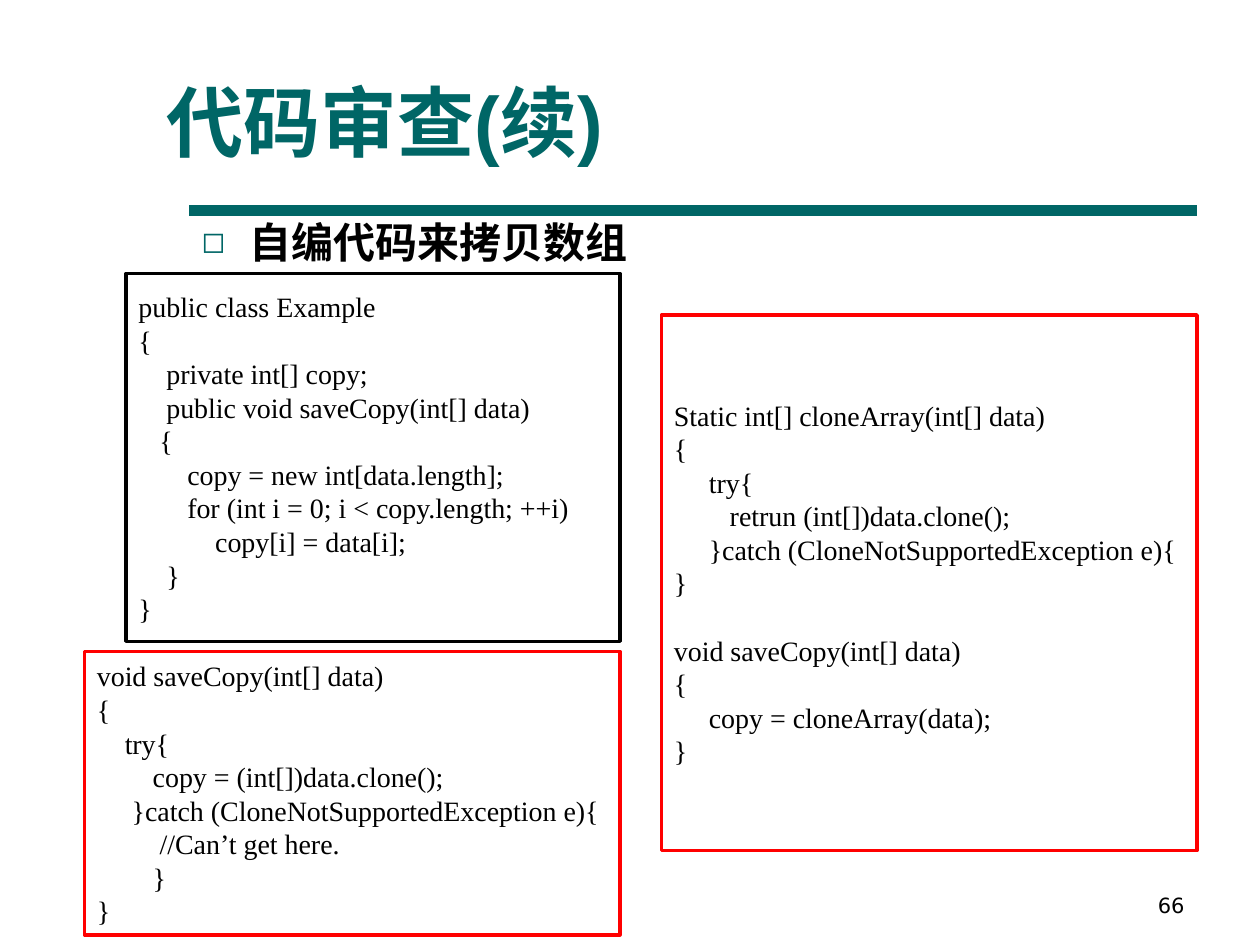
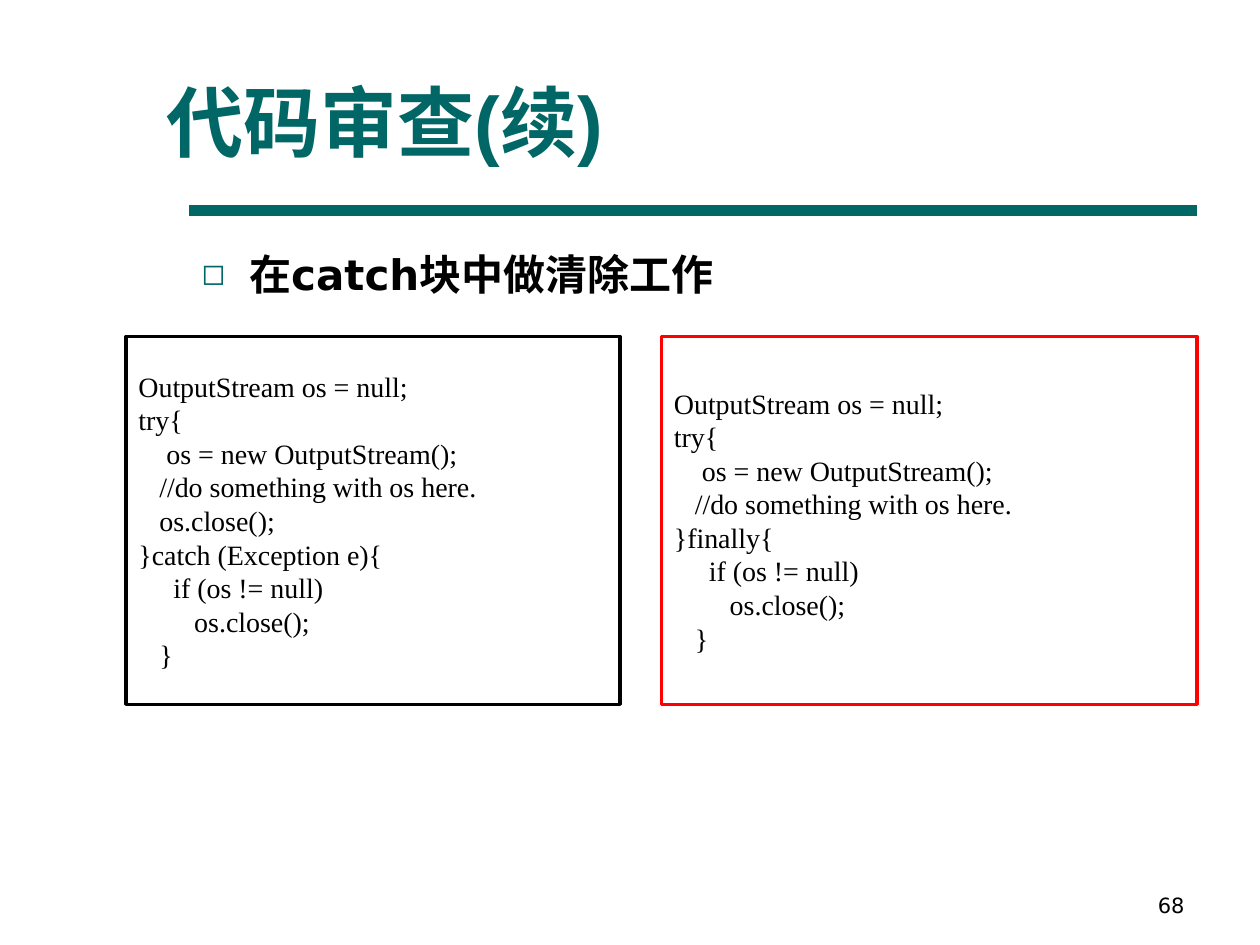
from lxml.etree import SubElement
from pptx import Presentation
from pptx.dml.color import RGBColor
from pptx.enum.shapes import MSO_CONNECTOR, MSO_SHAPE
from pptx.enum.text import MSO_ANCHOR, PP_ALIGN
from pptx.oxml.ns import qn
from pptx.util import Inches, Pt

COLORS = {"teal": "006666", "black": "000000", "red": "FF0000", "white": "FFFFFF"}
TITLE = "代码审查(续)"
CODE_LINE = 19.2

LOOP_COPY = """public class Example
{
    private int[] copy;
    public void saveCopy(int[] data)
   {
       copy = new int[data.length];
       for (int i = 0; i < copy.length; ++i)
           copy[i] = data[i];
    }
}"""

CLONE_COPY = """void saveCopy(int[] data)
{
    try{
        copy = (int[])data.clone();
     }catch (CloneNotSupportedException e){
         //Can’t get here.
        }
}"""

CLONE_HELPER = """Static int[] cloneArray(int[] data)
{
     try{
        retrun (int[])data.clone();
     }catch (CloneNotSupportedException e){
}

void saveCopy(int[] data)
{
     copy = cloneArray(data);
}"""

OPEN_STREAM = """OutputStream os = null;
try{
    os = new OutputStream();
   //do something with os here.
"""

CLOSE_STREAM = """     if (os != null)
        os.close();
   }"""

CATCH_CLEANUP = OPEN_STREAM + "   os.close();\n}catch (Exception e){\n" + CLOSE_STREAM
FINALLY_CLEANUP = OPEN_STREAM + "}finally{\n" + CLOSE_STREAM

SLIDES = [
    {"number": "66", "topic": "自编代码来拷贝数组", "topic_top": 1.67, "listings": [
        (LOOP_COPY, "black", (1, 2.17, 3.92, 2.92)),
        (CLONE_COPY, "red", (0.67, 5.17, 4.25, 2.25)),
        (CLONE_HELPER, "red", (5.25, 2.5, 4.25, 4.25)),
    ]},
    {"number": "68", "topic": "在catch块中做清除工作", "topic_top": 1.92, "listings": [
        (CATCH_CLEANUP, "black", (1, 2.67, 3.92, 2.92)),
        (FINALLY_CLEANUP, "red", (5.25, 2.67, 4.25, 2.92)),
    ]},
]


def rgb(color):
    return RGBColor.from_string(COLORS[color])


def set_font(paragraph, name, size, color="black", bold=False):
    font = paragraph.font
    font.name, font.size, font.bold = name, Pt(size), bold
    font.color.rgb = rgb(color)


def add_label(slide, text, box, anchor):
    frame = slide.shapes.add_textbox(*map(Inches, box)).text_frame
    frame.word_wrap = True
    frame.vertical_anchor = anchor
    frame.text = text
    return frame.paragraphs[0]


def add_bullet(paragraph):
    properties = paragraph._p.get_or_add_pPr()
    properties.set("marL", str(Inches(0.38)))
    properties.set("indent", str(-Inches(0.38)))
    bullet_color = SubElement(properties, qn("a:buClr"))
    SubElement(bullet_color, qn("a:srgbClr"), val=COLORS["teal"])
    SubElement(properties, qn("a:buSzPct"), val="70000")
    SubElement(properties, qn("a:buFont"), typeface="DejaVu Sans")
    SubElement(properties, qn("a:buChar"), char="◻")


def add_rule(slide):
    rule = slide.shapes.add_connector(
        MSO_CONNECTOR.STRAIGHT, Inches(1.5), Inches(1.67), Inches(9.5), Inches(1.67))
    rule.line.color.rgb = rgb("teal")
    rule.line.width = Pt(6)
    SubElement(rule._element.spPr, qn("a:effectLst"))


def add_listing(slide, code, border, box):
    listing = slide.shapes.add_shape(MSO_SHAPE.RECTANGLE, *map(Inches, box))
    listing.shadow.inherit = False
    listing.fill.solid()
    listing.fill.fore_color.rgb = rgb("white")
    listing.line.color.rgb = rgb(border)
    listing.line.width = Pt(2)
    frame = listing.text_frame
    frame.word_wrap = True
    frame.vertical_anchor = MSO_ANCHOR.MIDDLE
    for part_index, part in enumerate(code.split("\n\n")):
        for line_index, line in enumerate(part.split("\n")):
            first = part_index == line_index == 0
            paragraph = frame.paragraphs[0] if first else frame.add_paragraph()
            paragraph.text = line
            paragraph.alignment = PP_ALIGN.LEFT
            paragraph.line_spacing = Pt(CODE_LINE)
            if part_index and line_index == 0:
                paragraph.space_before = Pt(CODE_LINE)
            set_font(paragraph, "Times New Roman", 16)


def add_review_slide(deck, content):
    slide = deck.slides.add_slide(deck.slide_layouts[6])
    add_rule(slide)
    number = add_label(slide, content["number"], (7.17, 6.83, 2.33, 0.5), MSO_ANCHOR.BOTTOM)
    number.alignment = PP_ALIGN.RIGHT
    set_font(number, "DejaVu Sans", 12)
    title = add_label(slide, TITLE, (1.22, 0.12, 8.5, 1.25), MSO_ANCHOR.BOTTOM)
    set_font(title, "Arial", 44, "teal", bold=True)
    topic = add_label(slide, content["topic"], (1.5, content["topic_top"], 8, 4.5), MSO_ANCHOR.TOP)
    add_bullet(topic)
    set_font(topic, "DejaVu Sans", 24, bold=True)
    for code, border, box in content["listings"]:
        add_listing(slide, code, border, box)


def main():
    deck = Presentation()
    deck.slide_width, deck.slide_height = Inches(10), Inches(7.5)
    for content in SLIDES:
        add_review_slide(deck, content)
    deck.save("out.pptx")


if __name__ == "__main__":
    main()
